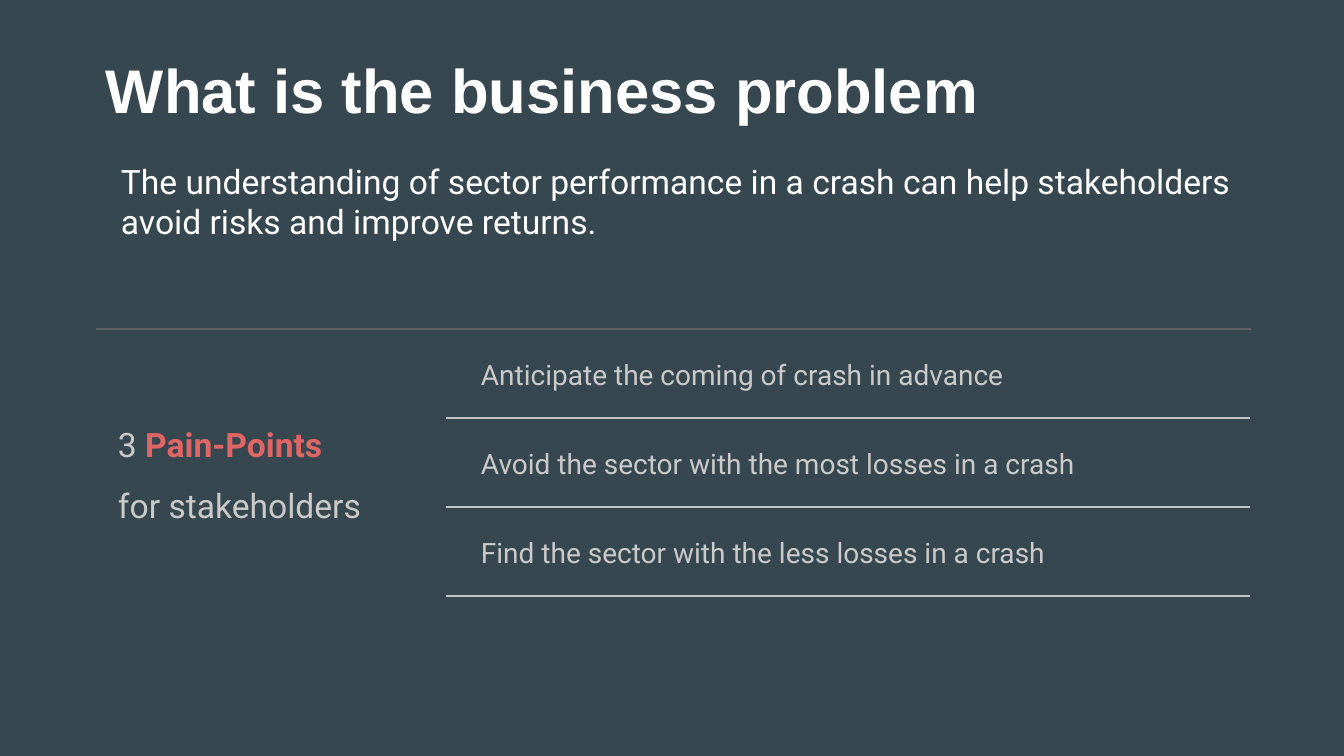
import pptx
import pptx.dml.color
import pptx.enum.shapes
import pptx.enum.text
import pptx.oxml
import pptx.util

RGBColor = pptx.dml.color.RGBColor
ANCHOR = pptx.enum.text.MSO_ANCHOR

SLATE = RGBColor(0x37, 0x47, 0x4F)
WHITE = RGBColor(0xFF, 0xFF, 0xFF)
LIGHT_GRAY = RGBColor(0xCA, 0xCA, 0xCA)
RULE_GRAY = RGBColor(0xC5, 0xC5, 0xC5)
DARK_GRAY = RGBColor(0x61, 0x61, 0x61)
CORAL = RGBColor(0xE0, 0x66, 0x66)

TITLE = "What is the business problem"
SUMMARY = (
    "The understanding of sector performance in a crash can help "
    "stakeholders avoid risks and improve returns."
)
HEADING = [
    [("3 ", LIGHT_GRAY, False), ("Pain-Points", CORAL, True)],
    [("for stakeholders", LIGHT_GRAY, False)],
]
PAIN_POINTS = [
    "Anticipate the coming of crash in advance",
    "Avoid the sector with the most losses in a crash",
    "Find the sector with the less losses in a crash",
]

SLIDE_WIDTH, SLIDE_HEIGHT = 1344, 756
TITLE_BOX = (96, 55, 1008, 85)
SUMMARY_BOX = (99, 156, 1153, 107)
HEADING_BOX = (96, 329, 351, 271)
RULE_TOP, ROW_PITCH = 329, 89
ROW_LEFT, ROW_WIDTH, ROW_HEIGHT, ROW_GAP = 461, 789, 85, 5
RULE_LEFT, RULE_RIGHT = 446, 1250
TEXT_INDENT = 12


def emu(px):
    return pptx.util.Emu(round(px * 12192000 / SLIDE_WIDTH))


def set_values(target, values):
    for name, value in values.items():
        setattr(target, name, value)


def write(shape, box, paragraphs, size, font, anchor=ANCHOR.TOP,
          margins=(10, 5), spacing=1.0, indent=TEXT_INDENT):
    set_values(shape, dict(zip(("left", "top", "width", "height"), map(emu, box))))
    side, edge = map(emu, margins)
    frame = shape.text_frame
    set_values(frame, {
        "word_wrap": True,
        "auto_size": pptx.enum.text.MSO_AUTO_SIZE.NONE,
        "vertical_anchor": anchor,
        "margin_left": side, "margin_right": side,
        "margin_top": edge, "margin_bottom": edge,
    })
    for index, runs in enumerate(paragraphs):
        paragraph = frame.add_paragraph() if index else frame.paragraphs[0]
        set_values(paragraph, {
            "alignment": pptx.enum.text.PP_ALIGN.LEFT,
            "line_spacing": spacing,
        })
        properties = paragraph._p.get_or_add_pPr()
        properties.set("marL", str(emu(indent)))
        properties.set("indent", "0")
        for text, color, bold in runs:
            run = paragraph.add_run()
            run.text = text
            set_values(run.font, {"name": font, "size": pptx.util.Pt(size), "bold": bold})
            run.font.color.rgb = color


def add_text(slide, box, *content, **formats):
    shape = slide.shapes.add_textbox(*map(emu, box))
    write(shape, box, *content, **formats)


def add_rule(slide, left, right, top, color):
    rule = slide.shapes.add_connector(
        pptx.enum.shapes.MSO_CONNECTOR.STRAIGHT, *map(emu, (left, top, right, top)))
    rule.line.color.rgb = color
    rule.line.width = pptx.util.Pt(2)
    rule._element.spPr.append(pptx.oxml.parse_xml(
        '<a:effectLst xmlns:a="http://schemas.openxmlformats.org/drawingml/2006/main"/>'))


def main():
    presentation = pptx.Presentation()
    set_values(presentation, {
        "slide_width": emu(SLIDE_WIDTH), "slide_height": emu(SLIDE_HEIGHT)})
    slide = presentation.slides.add_slide(presentation.slide_layouts[5])
    slide.background.fill.solid()
    slide.background.fill.fore_color.rgb = SLATE

    write(slide.shapes.title, TITLE_BOX, [[(TITLE, WHITE, True)]], 44, "Arial",
          spacing=0.9, indent=0)
    add_text(slide, SUMMARY_BOX, [[(SUMMARY, WHITE, False)]], 24, "Roboto")
    add_rule(slide, HEADING_BOX[0], RULE_RIGHT + 1, RULE_TOP, DARK_GRAY)
    add_text(slide, HEADING_BOX, HEADING, 24, "Roboto",
             anchor=ANCHOR.MIDDLE, margins=(10, 10), spacing=1.5)

    for index, pain_point in enumerate(PAIN_POINTS):
        row_top = RULE_TOP + index * ROW_PITCH
        row_box = (ROW_LEFT, row_top + ROW_GAP, ROW_WIDTH, ROW_HEIGHT)
        add_text(slide, row_box, [[(pain_point, LIGHT_GRAY, False)]], 20, "Roboto",
                 anchor=ANCHOR.MIDDLE, margins=(8, 8), spacing=0.9)
        add_rule(slide, RULE_LEFT, RULE_RIGHT, row_top + ROW_PITCH, RULE_GRAY)

    presentation.save("out.pptx")


if __name__ == "__main__":
    main()
